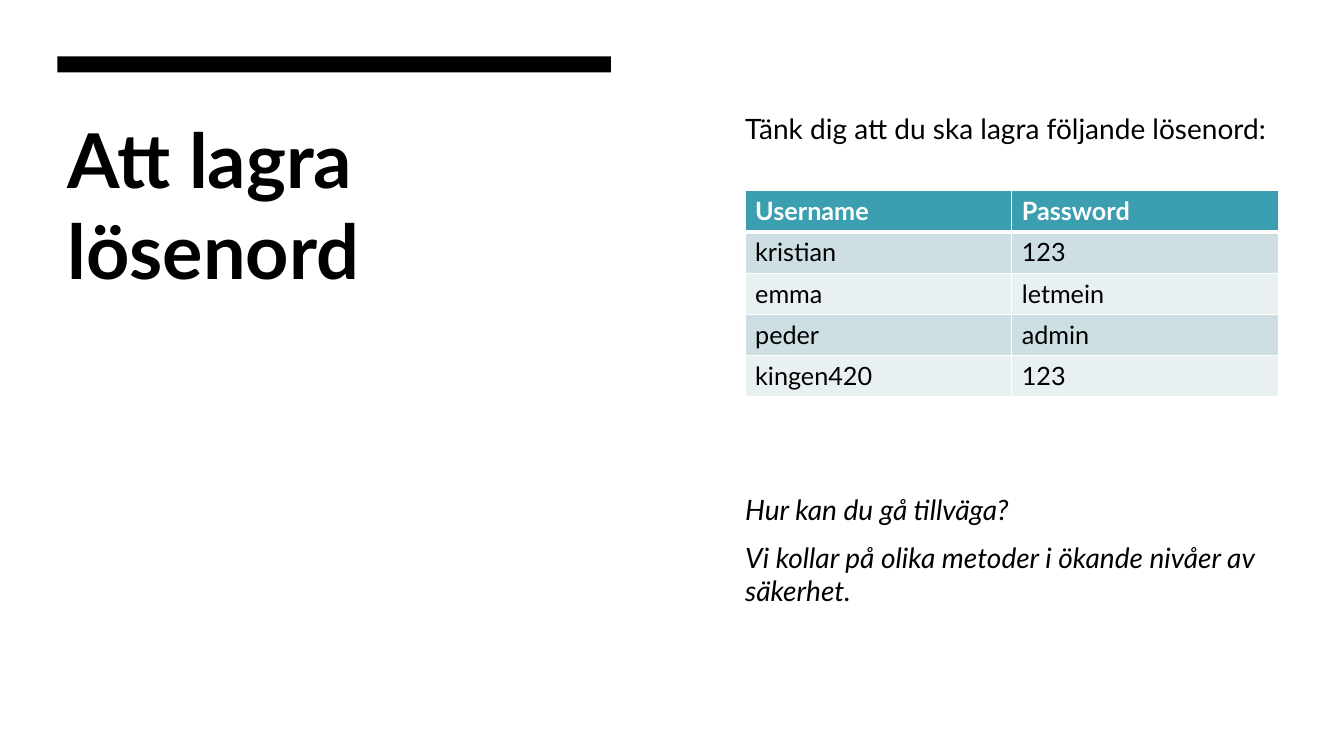
from lxml import etree
from pptx import Presentation
from pptx.dml.color import RGBColor
from pptx.enum import shapes, text
from pptx.oxml import ns
from pptx.util import Inches, Pt

TITLE = "Att lagra lösenord"
# text, space before in points (the second leaves room for the table), italic
BODY = [
    ("Tänk dig att du ska lagra följande lösenord:", 0, False),
    ("Hur kan du gå tillväga?", 248, True),
    ("Vi kollar på olika metoder i ökande nivåer av säkerhet.", 10, True),
]
ACCOUNTS = [
    ("Username", "Password"),
    ("kristian", "123"),
    ("emma", "letmein"),
    ("peder", "admin"),
    ("kingen420", "123"),
]
FONT = "Lato"
BLACK, WHITE, HEADER = "000000", "FFFFFF", "3B9EB1"
BANDS = ["CEDFE4", "E8F0F2"]

WIDTH, HEIGHT = 13.33, 7.5
LEFT, RIGHT = 0.57, 7.29
COLUMN, COLUMN_HEIGHT = 5.49, 5.33
INSET = 0.1
ROW_HEIGHT = 0.41


def color(value):
    return RGBColor.from_string(value)


def paint(shape, value):
    shape.fill.solid()
    shape.fill.fore_color.rgb = color(value)


def write(para, words, ink=BLACK, **formats):
    span = para.add_run()
    span.text = words
    span.font.color.rgb = color(ink)
    for name, value in {"name": FONT, **formats}.items():
        setattr(span.font, name, value)


def place(box, left, top):
    """Move a placeholder into its column and let its text start at the top."""
    box.left, box.top = Inches(left), Inches(top)
    box.width, box.height = Inches(COLUMN), Inches(COLUMN_HEIGHT)
    frame = box.text_frame
    settings = {"word_wrap": True, "auto_size": text.MSO_AUTO_SIZE.NONE,
                "vertical_anchor": text.MSO_ANCHOR.TOP}
    for name, value in settings.items():
        setattr(frame, name, value)
    return frame


def plain(para, before=0):
    """Left-aligned paragraph without bullet or indent."""
    para.alignment = text.PP_ALIGN.LEFT
    para.line_spacing = 1.0
    para.space_before, para.space_after = Pt(before), Pt(0)
    properties = para._p.get_or_add_pPr()
    properties.set("marL", "0")
    properties.set("indent", "0")
    etree.SubElement(properties, ns.qn("a:buNone"))


def border(cell, bottom):
    properties = cell._tc.get_or_add_tcPr()
    sides = [("L", 1), ("R", 1), ("T", 1), ("B", bottom)]
    for position, (side, points) in enumerate(sides):
        line = etree.Element(ns.qn(f"a:ln{side}"), w=str(Pt(points)))
        fill = etree.SubElement(line, ns.qn("a:solidFill"))
        etree.SubElement(fill, ns.qn("a:srgbClr"), val=WHITE)
        properties.insert(position, line)


def add_accounts(page):
    rows, columns = len(ACCOUNTS), len(ACCOUNTS[0])
    table = page.shapes.add_table(
        rows, columns, Inches(RIGHT + INSET), Inches(1.89),
        Inches(COLUMN - 2 * INSET), Inches(rows * ROW_HEIGHT)).table
    for r, account in enumerate(ACCOUNTS):
        header = r == 0
        for c, words in enumerate(account):
            cell = table.cell(r, c)
            paint(cell, HEADER if header else BANDS[(r - 1) % 2])
            border(cell, 3 if header else 1)
            write(cell.text_frame.paragraphs[0], words,
                  WHITE if header else BLACK, size=Pt(18), bold=header)


def main():
    deck = Presentation()
    deck.slide_width, deck.slide_height = Inches(WIDTH), Inches(HEIGHT)
    page = deck.slides.add_slide(deck.slide_layouts[1])
    title, body = page.placeholders

    bar = page.shapes.add_shape(
        shapes.MSO_SHAPE.RECTANGLE, Inches(LEFT), Inches(0.56),
        Inches(COLUMN), Inches(0.16))
    bar.shadow.inherit = False
    bar.line.fill.background()
    paint(bar, BLACK)

    heading = place(title, LEFT, 1.07).paragraphs[0]
    plain(heading)
    write(heading, TITLE, size=Pt(54), bold=True)

    frame = place(body, RIGHT, 1.06)
    for index, (words, before, italic) in enumerate(BODY):
        para = frame.add_paragraph() if index else frame.paragraphs[0]
        plain(para, before)
        write(para, words, size=Pt(20), italic=italic)

    add_accounts(page)
    deck.save("out.pptx")


if __name__ == "__main__":
    main()
